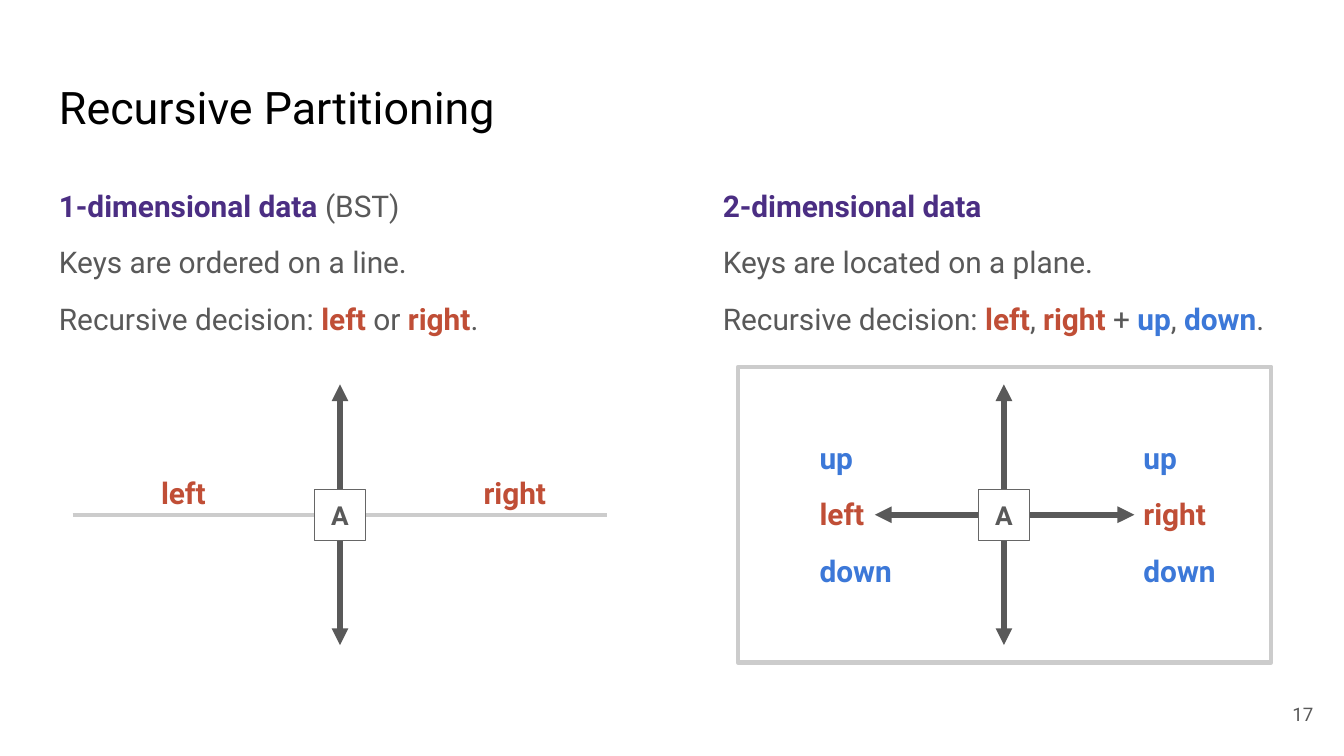
from pptx import Presentation
from pptx.dml.color import RGBColor
from pptx.enum.shapes import MSO_CONNECTOR, MSO_SHAPE
from pptx.enum.text import MSO_ANCHOR, PP_ALIGN
from pptx.oxml.ns import qn
from pptx.util import Inches, Pt
from lxml.etree import SubElement

WHITE = RGBColor(0xFF, 0xFF, 0xFF)
BLACK = RGBColor(0, 0, 0)
GREY = RGBColor(0x59, 0x59, 0x59)
BORDER = RGBColor(0x66, 0x66, 0x66)
LIGHT = RGBColor(0xCC, 0xCC, 0xCC)
PURPLE = RGBColor(0x4B, 0x2E, 0x83)
RED = RGBColor(0xC0, 0x4E, 0x36)
BLUE = RGBColor(0x3C, 0x78, 0xD8)

FRAME_FORMAT = {
    "word_wrap": True,
    "margin_left": Inches(0.1), "margin_right": Inches(0.1),
    "margin_top": Inches(0.1), "margin_bottom": Inches(0.1),
}
LEFT, RIGHT = ("left", RED), ("right", RED)
UP, DOWN = ("up", BLUE), ("down", BLUE)

CENTER_Y = 3.83
LINE_CENTER_X, PLANE_CENTER_X = 2.53, 7.47
LABEL_HEIGHT = 0.45
LABEL_TOP = 3.6
LABEL_STEP = 0.42


def apply_format(target, values):
    for name, value in values.items():
        setattr(target, name, value)


def add_runs(paragraph, runs, size):
    """Write (text, colour) runs; coloured words are bold."""
    for text, color in runs:
        run = paragraph.add_run()
        run.text = text
        apply_format(run.font, {"name": "Roboto", "size": Pt(size),
                                "bold": color not in (GREY, BLACK)})
        run.font.color.rgb = color


def add_text(slide, box, lines, size, frame_format=None, paragraph_format=None):
    """Add a text box with one paragraph for each list of runs."""
    frame = slide.shapes.add_textbox(*map(Inches, box)).text_frame
    apply_format(frame, FRAME_FORMAT | (frame_format or {}))
    for index, runs in enumerate(lines):
        paragraph = frame.add_paragraph() if index else frame.paragraphs[0]
        apply_format(paragraph, paragraph_format or {})
        if index:
            paragraph.space_before = Pt(8)
        add_runs(paragraph, runs, size)


def add_column(slide, left, lines):
    add_text(slide, (left, 1.26, 4.37, 1.3), lines, 16,
             paragraph_format={"line_spacing": 1.15})


def add_label(slide, left, top, label):
    add_text(slide, (left, top, 1, LABEL_HEIGHT), [[label]], 16,
             {"vertical_anchor": MSO_ANCHOR.MIDDLE})


def add_rectangle(slide, box, line_color, line_width):
    rectangle = slide.shapes.add_shape(MSO_SHAPE.RECTANGLE, *map(Inches, box))
    rectangle.shadow.inherit = False
    rectangle.fill.solid()
    rectangle.fill.fore_color.rgb = WHITE
    rectangle.line.color.rgb = line_color
    rectangle.line.width = Pt(line_width)
    return rectangle


def add_line(slide, start, end, color, width, arrows=False):
    connector = slide.shapes.add_connector(
        MSO_CONNECTOR.STRAIGHT, *map(Inches, (*start, *end)))
    connector.line.color.rgb = color
    connector.line.width = Pt(width)
    if arrows:
        outline = connector.line._get_or_add_ln()
        for tag in ("a:headEnd", "a:tailEnd"):
            SubElement(outline, qn(tag), type="triangle")
    SubElement(connector._element.spPr, qn("a:effectLst"))


def add_vertical_axis(slide, x):
    add_line(slide, (x, 2.86), (x, 4.8), GREY, 3, arrows=True)


def add_node(slide, x):
    side = 0.38
    node = add_rectangle(slide, (x - side / 2, CENTER_Y - side / 2, side, side),
                         BORDER, 0.75)
    frame = node.text_frame
    apply_format(frame, FRAME_FORMAT | {"vertical_anchor": MSO_ANCHOR.MIDDLE})
    paragraph = frame.paragraphs[0]
    paragraph.alignment = PP_ALIGN.CENTER
    add_runs(paragraph, [("A", GREY)], 14)
    paragraph.runs[0].font.bold = True


def add_line_diagram(slide):
    add_line(slide, (0.54, CENTER_Y), (4.52, CENTER_Y), LIGHT, 2.25)
    add_vertical_axis(slide, LINE_CENTER_X)
    add_node(slide, LINE_CENTER_X)
    for x, side in ((1.1, LEFT), (3.5, RIGHT)):
        add_label(slide, x, 3.44, side)


def add_plane_diagram(slide):
    add_rectangle(slide, (5.49, 2.73, 3.97, 2.2), LIGHT, 2.25)
    add_line(slide, (6.51, CENTER_Y), (8.44, CENTER_Y), GREY, 3, arrows=True)
    add_vertical_axis(slide, PLANE_CENTER_X)
    add_node(slide, PLANE_CENTER_X)
    for x, side in ((6, LEFT), (8.41, RIGHT)):
        for step, label in enumerate((UP, side, DOWN), start=-1):
            add_label(slide, x, LABEL_TOP + step * LABEL_STEP, label)


def main():
    presentation = Presentation()
    presentation.slide_width = Inches(10)
    presentation.slide_height = Inches(10) * 9 // 16
    slide = presentation.slides.add_slide(presentation.slide_layouts[6])

    add_text(slide, (0.34, 0.49, 9.32, 0.63),
             [[("Recursive Partitioning", BLACK)]], 24)
    decision = ("Recursive decision: ", GREY)
    comma, period = (", ", GREY), (".", GREY)
    add_column(slide, 0.34, [
        [("1-dimensional data", PURPLE), (" (BST)", GREY)],
        [("Keys are ordered on a line.", GREY)],
        [decision, LEFT, (" or ", GREY), RIGHT, period],
    ])
    add_column(slide, 5.28, [
        [("2-dimensional data", PURPLE)],
        [("Keys are located on a plane.", GREY)],
        [decision, LEFT, comma, RIGHT, (" + ", GREY), UP, comma, DOWN, period],
    ])
    add_line_diagram(slide)
    add_plane_diagram(slide)
    add_text(slide, (9.27, 5.1, 0.6, 0.43), [[("17", GREY)]], 10,
             {"vertical_anchor": MSO_ANCHOR.MIDDLE},
             {"alignment": PP_ALIGN.RIGHT})
    presentation.save("out.pptx")


if __name__ == "__main__":
    main()
